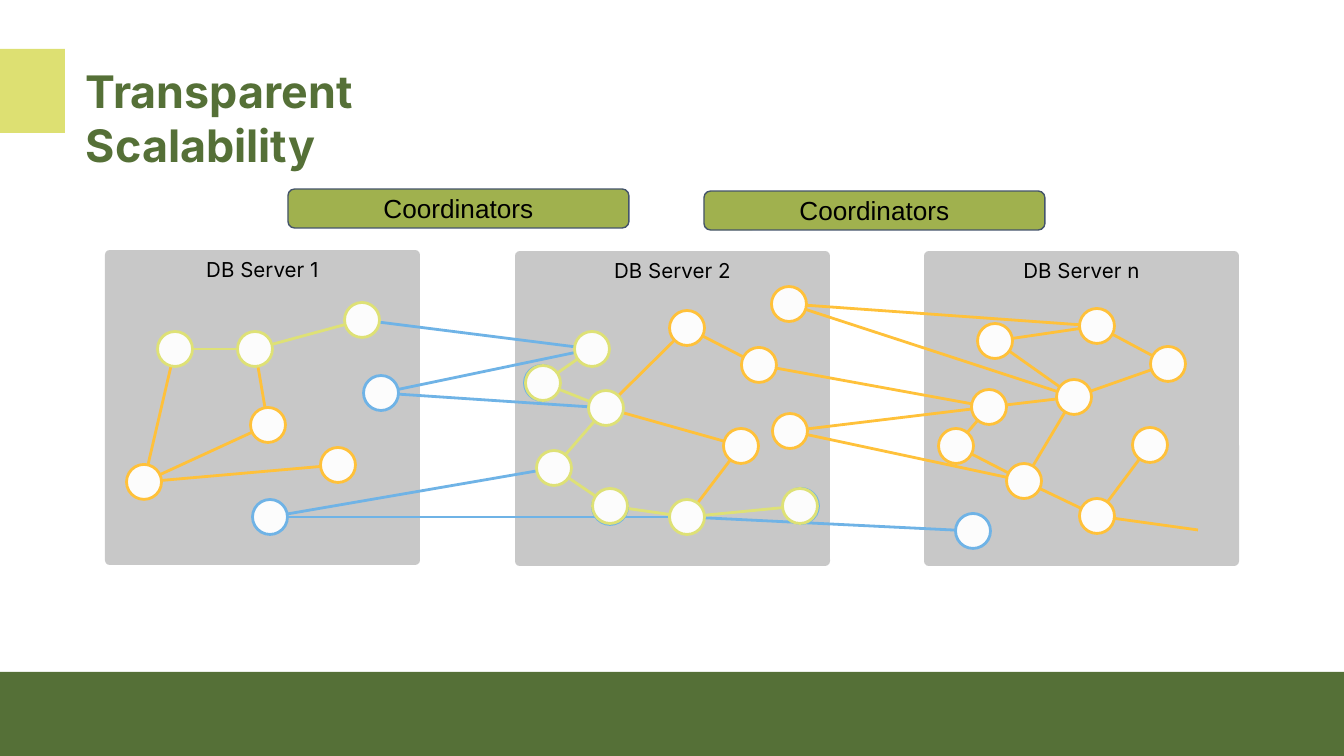
import pptx
import pptx.dml.color
import pptx.enum.shapes
import pptx.enum.text
import pptx.oxml.ns
import pptx.util
from lxml import etree

EMU_PER_PX = 914400 / 134.4
NODE = 35
GREEN, LIME, ORANGE, BLUE = "557037", "DEE176", "FFC13A", "6FB3E6"
SHAPES = pptx.enum.shapes.MSO_SHAPE
MIDDLE = pptx.enum.text.MSO_ANCHOR.MIDDLE
CENTER = pptx.enum.text.PP_ALIGN.CENTER

SERVERS = [
    ("DB Server 1", (105, 250, 315, 315), {
        "a1": (70, 99, LIME), "a2": (150, 99, LIME), "a3": (257, 70, LIME),
        "a4": (276, 143, BLUE), "a5": (163, 175, ORANGE), "a6": (233, 215, ORANGE),
        "a7": (39, 232, ORANGE), "a8": (165, 267, BLUE)}),
    ("DB Server 2", (515, 251, 315, 315), {
        "b1": (77, 98, LIME), "b2": (28, 132, LIME), "b3": (91, 157, LIME),
        "b4": (39, 217, LIME), "b5": (95, 255, LIME), "b6": (172, 266, LIME),
        "b7": (285, 255, LIME), "b8": (172, 77, ORANGE), "b9": (244, 114, ORANGE),
        "b10": (274, 53, ORANGE), "b11": (275, 180, ORANGE), "b12": (226, 195, ORANGE)}),
    ("DB Server n", (924, 251, 315, 315), {
        "c1": (71, 90, ORANGE), "c2": (173, 75, ORANGE), "c3": (244, 113, ORANGE),
        "c4": (150, 146, ORANGE), "c5": (65, 156, ORANGE), "c6": (32, 195, ORANGE),
        "c7": (100, 230, ORANGE), "c8": (226, 194, ORANGE), "c9": (173, 265, ORANGE),
        "c10": (49, 280, BLUE), "end": (274, 279, None)}),
]
EDGES = {
    BLUE: "a3-b1 a4-b1 a4-b3 a8-b4 a8-b6 b6-c10",
    ORANGE: "a2-a5 a1-a7 a7-a6 a7-a5 b3-b8 b3-b12 b6-b12 b8-b9 b9-c5 b10-c2 b10-c4 "
            "b11-c5 b11-c7 c1-c2 c1-c4 c2-c3 c4-c3 c5-c4 c6-c5 c6-c7 c7-c4 c7-c9 c9-c8 c9-end",
    LIME: "a1-a2 a2-a3 b1-b2 b2-b3 b3-b4 b4-b5 b5-b6 b6-b7",
}
HALOS = {"b2": (-1, 0), "b5": (0, 1), "b7": (1, 0)}


def px(*lengths):
    """Turn pixel lengths into EMU."""
    return [pptx.util.Emu(round(length * EMU_PER_PX)) for length in lengths]


def paint(color_format, color):
    """Set a fill or line to a solid hex colour."""
    color_format.solid()
    color_format.fore_color.rgb = pptx.dml.color.RGBColor.from_string(color)


def add_block(page, kind, box, fill, line=None, weight=1.5):
    """Add a flat preset shape with an optional outline."""
    shape = page.shapes.add_shape(kind, *px(*box))
    shape.shadow.inherit = False
    paint(shape.fill, fill)
    if line:
        paint(shape.line.fill, line)
        shape.line.width = pptx.util.Pt(weight)
    else:
        shape.line.fill.background()
    return shape


def write(shape, text, font, size, color="000000", bold=False, align=None, inset=(0, 0)):
    """Write one paragraph into a shape or text box."""
    frame = shape.text_frame
    frame.word_wrap = True
    frame.margin_left, frame.margin_top = frame.margin_right, frame.margin_bottom = px(*inset)
    if align:
        frame.vertical_anchor = MIDDLE
    para = frame.paragraphs[0]
    para.text = text
    para.alignment = align
    para.font.name, para.font.size, para.font.bold = font, pptx.util.Pt(size), bold
    paint(para.font.fill, color)


def add_frame(page, box):
    """Add the accent square, the footer band and the title."""
    left, top, width, height = box
    add_block(page, SHAPES.RECTANGLE, (left, top + 49, 65, 84), "DDE072")
    add_block(page, SHAPES.RECTANGLE, (left, top + height - 84, width, 84), GREEN)
    title = page.shapes.add_textbox(*px(left + 73, top + 57, 525, 67))
    write(title, "Transparent Scalability", "Inter", 24, GREEN, True, inset=(13, 7))


def add_coordinator(page, box):
    """Add one coordinator bar."""
    bar = add_block(page, SHAPES.ROUNDED_RECTANGLE, box, "A0B14E", "44546A", 0.75)
    bar.adjustments[0] = 0.17
    write(bar, "Coordinators", "Arial", 14, align=CENTER, inset=(13, 13))


def add_server(page, box, name):
    """Add a translucent server panel with its name at the top."""
    left, top, width, height = box
    panel = add_block(page, SHAPES.ROUNDED_RECTANGLE, box, "929292")
    panel.adjustments[0] = 0.015
    color = panel._element.spPr.find(".//" + pptx.oxml.ns.qn("a:srgbClr"))
    etree.SubElement(color, pptx.oxml.ns.qn("a:alpha"), val="50000")
    label = page.shapes.add_textbox(*px(left, top + 5, width, 28))
    write(label, name, "Inter", 11, align=CENTER)


def add_edge(page, start, finish, color):
    """Join two points with a straight line."""
    edge = page.shapes.add_connector(
        pptx.enum.shapes.MSO_CONNECTOR.STRAIGHT, *px(*start, *finish))
    paint(edge.line.fill, color)
    edge.line.width = pptx.util.Pt(1.5)
    etree.SubElement(edge._element.spPr, pptx.oxml.ns.qn("a:effectLst"))


def add_node(page, center, color):
    """Add a graph node around its centre."""
    x, y = center
    box = (x - NODE / 2, y - NODE / 2, NODE, NODE)
    add_block(page, SHAPES.OVAL, box, "FCFCFC", color)


def add_graph(page, servers):
    """Draw the edges and then the nodes across all server boxes."""
    centers, colors = {}, {}
    for _, (left, top, _, _), nodes in servers:
        for name, (x, y, color) in nodes.items():
            centers[name], colors[name] = (left + x, top + y), color
    for color, pairs in EDGES.items():
        for pair in pairs.split():
            start, finish = pair.split("-")
            add_edge(page, centers[start], centers[finish], color)
    for name, (x, y) in centers.items():
        if name in HALOS:
            shift_x, shift_y = HALOS[name]
            add_node(page, (x + shift_x, y + shift_y), BLUE)
        if colors[name]:
            add_node(page, (x, y), colors[name])


def main():
    """Build and save the deck."""
    deck = pptx.Presentation()
    deck.slide_width, deck.slide_height = px(1344, 756)
    page = deck.slides.add_slide(deck.slide_layouts[6])
    add_frame(page, (0, 0, 1344, 756))
    for name, box, _ in SERVERS:
        add_server(page, box, name)
    add_graph(page, SERVERS)
    for left, top in ((288, 189), (704, 191)):
        add_coordinator(page, (left, top, 341, 39))
    deck.save("out.pptx")


if __name__ == "__main__":
    main()
